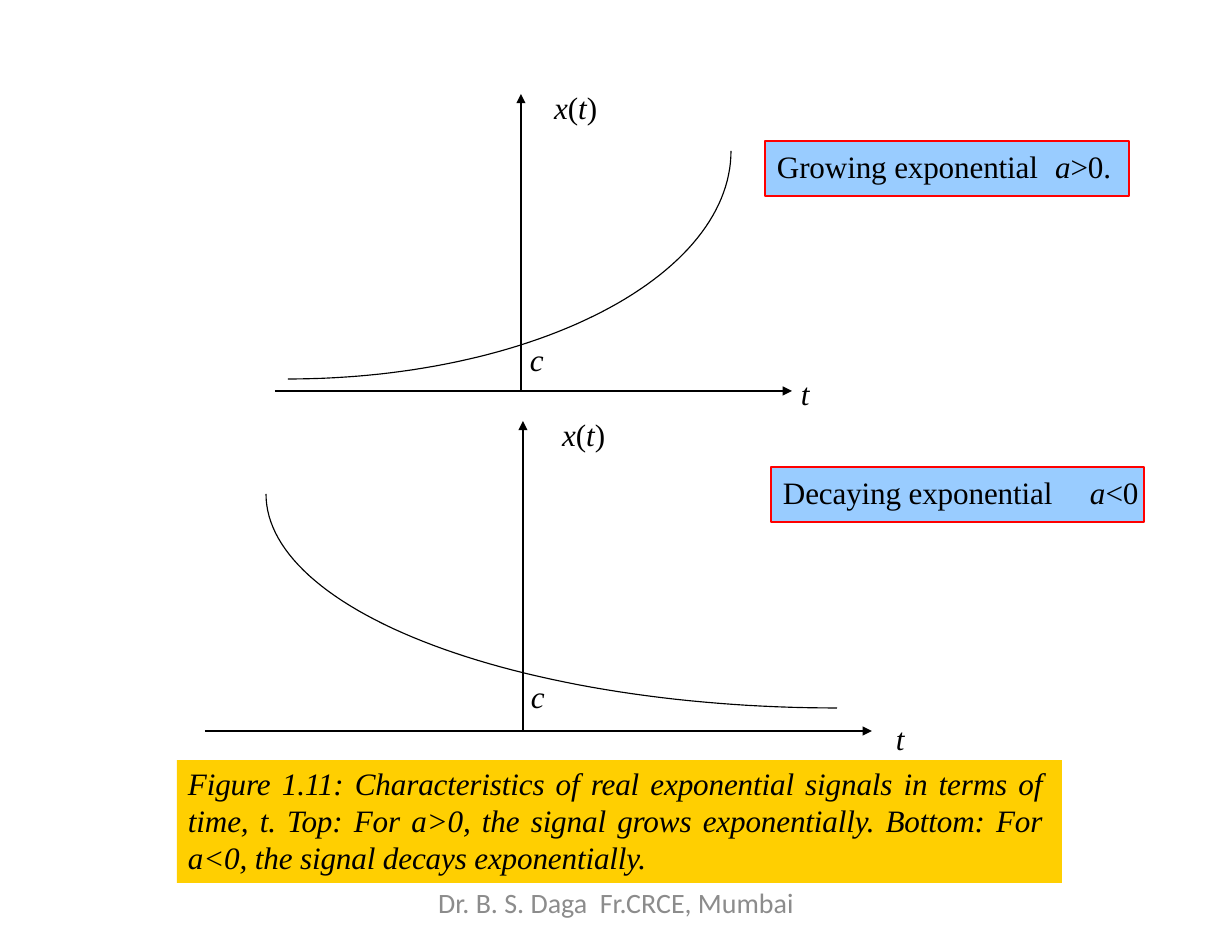
import math
from lxml import etree
from pptx import Presentation, util as u
from pptx.dml.color import RGBColor
from pptx.enum import shapes, text
from pptx.oxml.ns import qn

SCALE = 914400 / 112


def px(value):
    return u.Emu(round(value * SCALE))


def write(shape, runs, indent, inset, before, tab=None):
    frame = shape.text_frame
    frame.margin_left, frame.margin_top = px(indent), px(inset)
    frame.margin_right = frame.margin_bottom = 0
    frame.vertical_anchor = text.MSO_ANCHOR.TOP
    frame.word_wrap = True
    paragraph = frame.paragraphs[0]
    paragraph.alignment = text.PP_ALIGN.LEFT
    paragraph.space_before = u.Pt(before)
    font = paragraph.font
    font.name, font.size = "Times New Roman", u.Pt(20)
    font.color.rgb = RGBColor.from_string("000000")
    if tab:
        stops = etree.Element(qn("a:tabLst"))
        etree.SubElement(stops, qn("a:tab"), pos=str(px(tab)), algn="l")
        paragraph._p.pPr.insert_element_before(stops, "a:defRPr", "a:extLst")
    for words, italic in runs:
        run = paragraph.add_run()
        run.text = words
        run.font.italic = italic
        run._r.get_or_add_rPr().set("spc", "-10")
    return paragraph


deck = Presentation()
deck.slide_width, deck.slide_height = px(1232), px(952)
slide = deck.slides.add_slide(deck.slide_layouts[6])
parts = slide.shapes
black = RGBColor.from_string("000000")

axes = [
    (308, 391, 792, 391), (521, 391, 521, 94),
    (205, 731, 872, 731), (523, 731, 523, 421),
]
axes[0] = (275, 391, 792, 391)
for ends in axes:
    axis = parts.add_connector(shapes.MSO_CONNECTOR.STRAIGHT, *map(px, ends))
    axis.line.color.rgb = black
    axis.line.width = u.Pt(0.75)
    etree.SubElement(axis.line._get_or_add_ln(), qn("a:tailEnd"), type="triangle")
    etree.SubElement(axis._element.spPr, qn("a:effectLst"))

STEPS = 60
for center_x, center_y, reach, drop in [(288, 151, 443, 228), (837, 494, -571, 214)]:
    points = []
    for step in range(STEPS + 1):
        angle = math.pi / 2 * step / STEPS
        points.append((px(center_x + reach * math.sin(angle)),
                       px(center_y + drop * math.cos(angle))))
    builder = parts.build_freeform(*points[0])
    builder.add_line_segments(points[1:], close=False)
    curve = builder.convert_to_shape()
    curve.shadow.inherit = False
    curve.fill.background()
    curve.line.color.rgb = black
    curve.line.width = u.Pt(0.75)

signal = [("x", True), ("(", False), ("t", True), (")", False)]
crossing, time = [("c", True)], [("t", True)]
for runs, left, top, width in [
    (signal, 553, 87, 48), (crossing, 529, 339, 18), (time, 800, 373, 14),
    (signal, 561, 414, 48), (crossing, 530, 676, 18), (time, 895, 718, 14),
]:
    label = parts.add_textbox(px(left), px(top), px(width), px(40))
    write(label, runs, 1, 1, 0.9)
    label.text_frame.word_wrap = False

for kind, sign, left, top, width, tab in [
    ("Growing", ">0.", 765, 141, 364, 278),
    ("Decaying", "<0", 771, 467, 373, 307),
]:
    callout = parts.add_shape(shapes.MSO_SHAPE.RECTANGLE, px(left), px(top), px(width), px(55))
    callout.shadow.inherit = False
    callout.fill.solid()
    callout.fill.fore_color.rgb = RGBColor.from_string("99CCFF")
    callout.line.color.rgb = RGBColor.from_string("FF0000")
    callout.line.width = u.Pt(0.75)
    write(callout, [(f"{kind} exponential\t", False), ("a", True), (sign, False)], 12, 6, 3.2, tab)

caption = parts.add_shape(shapes.MSO_SHAPE.RECTANGLE, px(177), px(760), px(885), px(123))
caption.shadow.inherit = False
caption.fill.solid()
caption.fill.fore_color.rgb = RGBColor.from_string("FFCF01")
caption.line.fill.background()
summary = write(caption, [(
    "Figure 1.11: Characteristics of real exponential signals in terms of "
    "time, t. Top: For a>0, the signal grows exponentially. Bottom: For "
    "a<0, the signal decays exponentially.", True)], 11, 4, 2.9)
summary.alignment = text.PP_ALIGN.JUSTIFY
caption.text_frame.margin_right = px(20)

footer = parts.add_textbox(px(419), px(886), px(394), px(47))
frame = footer.text_frame
frame.word_wrap = True
frame.margin_left = frame.margin_top = frame.margin_right = frame.margin_bottom = 0
author = frame.paragraphs[0]
author.text = "Dr. B. S. Daga  Fr.CRCE, Mumbai"
author.alignment = text.PP_ALIGN.CENTER
author.font.name, author.font.size = "Calibri", u.Pt(18)
author.font.color.rgb = RGBColor.from_string("8C8C8C")

deck.save("out.pptx")
